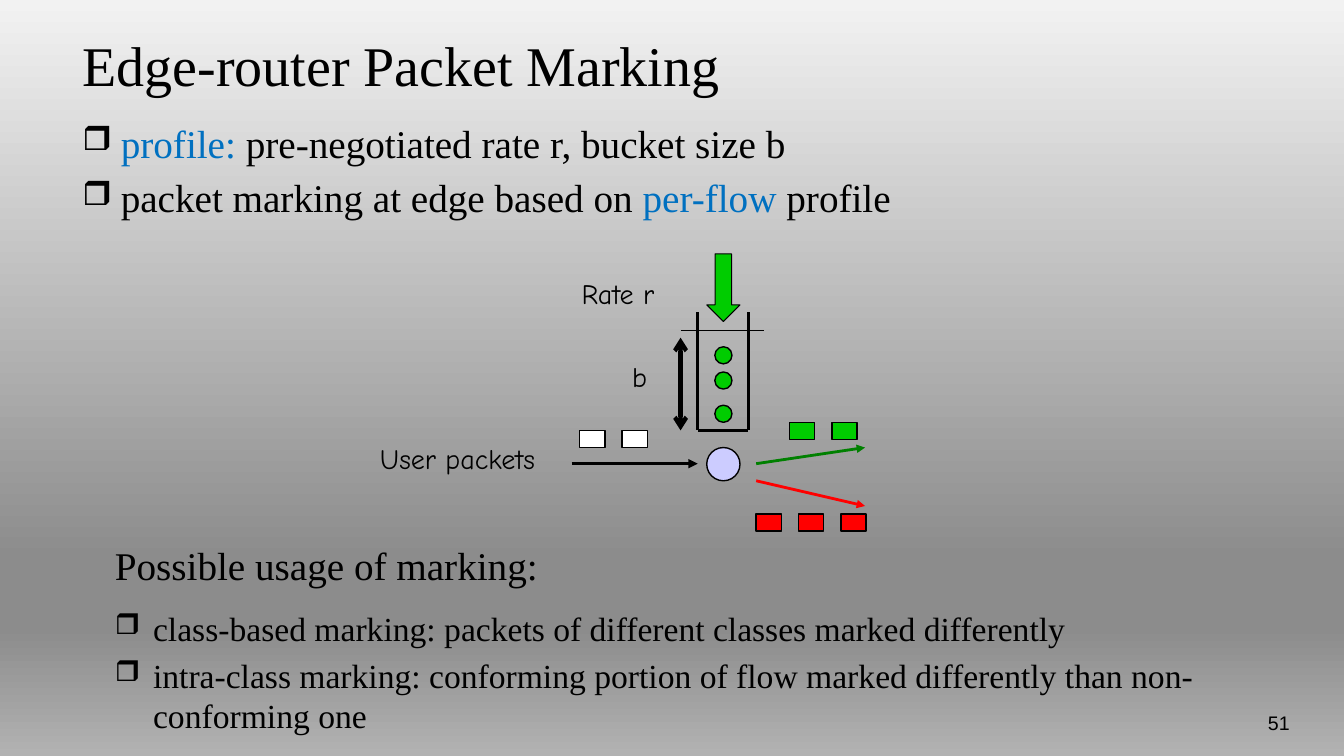
import pptx
import pptx.util
from lxml import etree
from pptx.dml.color import RGBColor
from pptx.enum.shapes import MSO_CONNECTOR, MSO_SHAPE
from pptx.enum.text import MSO_ANCHOR, PP_ALIGN
from pptx.oxml.ns import qn

# Content
COLORS = {
    "ink": "000000", "accent": "0070C0", "user": "FFFFFF", "token": "00CC00",
    "excess": "FF0000", "conforming": "008000", "router": "CCCCFF",
}
BACKGROUND = [(0, "F2F2F2"), (74, "8C8C8C"), (83, "8C8C8C"), (100, "B2B2B2")]
SERIF, HAND, SANS = "Times New Roman", "Comic Neue", "Arial"

# Single-line texts: text, (left, top, width, height), font, size
TITLE = ("Edge-router Packet Marking", (72, 26, 1173, 75), SERIF, 40)
PAGE_NUMBER = ("51", (1190, 700, 99, 50), SANS, 14)
LABELS = [
    ("Possible usage of marking:", (104, 532, 492, 57), SERIF, 28),
    ("User packets", (367, 433, 212, 43), HAND, 20),
    ("Rate r", (567, 269, 125, 43), HAND, 20),
    ("b", (617, 352, 38, 43), HAND, 20),
]

# Bulleted lists: each item is a list of (text, color) runs
PROFILE_POINTS = [
    [("profile: ", "accent"), ("pre-negotiated rate r, bucket size b", "ink")],
    [("packet marking at edge based on ", "ink"), ("per-flow", "accent"),
     (" profile", "ink")],
]
USAGE_POINTS = [
    [("class-based marking: packets of different classes marked differently", "ink")],
    [("intra-class marking: conforming portion of flow marked differently "
      "than non-conforming one", "ink")],
]

# Packet rows: left, top, count, color
PACKET_ROWS = [(575, 427, 2, "user"), (783, 419, 2, "token"), (750, 510, 3, "excess")]
PACKET_W, PACKET_H, PACKET_STEP = 25, 17, 42

# Token bucket
BUCKET_LEFT, BUCKET_RIGHT = 692, 742
BUCKET_RIM, BUCKET_JOINT, BUCKET_FLOOR = 310, 352, 427
BUCKET_CENTER = (BUCKET_LEFT + BUCKET_RIGHT) // 2
TOKEN_TOPS = [344, 369, 402]
TOKEN_SIZE, ROUTER_SIZE = 17, 33

# Lines: start, end, color, width, head, tail
LINES = [
    ((BUCKET_LEFT, BUCKET_FLOOR), (BUCKET_RIGHT, BUCKET_FLOOR), "ink", 2.25, None, None),
    ((675, 328), (758, 328), "ink", 0.75, None, None),
    ((675, 335), (675, BUCKET_FLOOR), "ink", 3, "arrow", "arrow"),
    ((567, 460), (692, 460), "ink", 2.25, None, "triangle"),
    ((750, 460), (858, 444), "conforming", 2, None, "triangle"),
    ((750, 477), (858, 502), "excess", 2, None, "triangle"),
]
for side in (BUCKET_LEFT, BUCKET_RIGHT):
    LINES.append(((side, BUCKET_JOINT), (side, BUCKET_FLOOR), "ink", 2.25, None, None))
    LINES.append(((side, BUCKET_JOINT), (side, BUCKET_RIM), "ink", 2, None, None))

PX = 9144  # 100 px to the inch


def px(*lengths):
    return [pptx.util.Emu(length * PX) for length in lengths]


def rgb(name):
    return RGBColor.from_string(COLORS[name])


def style_run(run, font, size, color="ink"):
    run.font.name = font
    run.font.size = pptx.util.Pt(size)
    run.font.color.rgb = rgb(color)


def add_frame(slide, box):
    frame = slide.shapes.add_textbox(*px(*box)).text_frame
    frame.word_wrap = True
    return frame


def add_label(slide, text, box, font, size):
    frame = add_frame(slide, box)
    frame.text = text
    style_run(frame.paragraphs[0].runs[0], font, size)
    return frame


def add_bullets(slide, points, box, size):
    frame = add_frame(slide, box)
    for index, point in enumerate(points):
        paragraph = frame.add_paragraph() if index else frame.paragraphs[0]
        if index:
            paragraph.space_before = pptx.util.Pt(size * 0.2)
        props = paragraph._p.get_or_add_pPr()
        props.set("marL", str(38 * PX))
        props.set("indent", str(-38 * PX))
        bullet_color = etree.SubElement(props, qn("a:buClr"))
        etree.SubElement(bullet_color, qn("a:srgbClr"), val=COLORS["ink"])
        etree.SubElement(props, qn("a:buSzPct"), val="85000")
        etree.SubElement(props, qn("a:buChar"), char="❒")
        for text, color in point:
            run = paragraph.add_run()
            run.text = text
            style_run(run, SERIF, size, color)


def add_part(slide, kind, box, color, line_width=1):
    part = slide.shapes.add_shape(kind, *px(*box))
    part.shadow.inherit = False
    part.fill.solid()
    part.fill.fore_color.rgb = rgb(color)
    part.line.color.rgb = rgb("ink")
    part.line.width = pptx.util.Pt(line_width)


def add_line(slide, start, end, color, width, head, tail):
    connector = slide.shapes.add_connector(MSO_CONNECTOR.STRAIGHT, *px(*start, *end))
    connector.line.color.rgb = rgb(color)
    connector.line.width = pptx.util.Pt(width)
    outline = connector.line._get_or_add_ln()
    for tag, arrow in (("a:headEnd", head), ("a:tailEnd", tail)):
        if arrow:
            etree.SubElement(outline, qn(tag), type=arrow)
    etree.SubElement(connector._element.spPr, qn("a:effectLst"))


def paint_background(slide):
    slide.background.fill.gradient()
    gradient = slide.element.find(".//" + qn("a:gradFill"))
    stops = gradient.find(qn("a:gsLst"))
    for stop in list(stops):
        stops.remove(stop)
    for position, color in BACKGROUND:
        stop = etree.SubElement(stops, qn("a:gs"), pos=str(position * 1000))
        etree.SubElement(stop, qn("a:srgbClr"), val=color)
    gradient.find(qn("a:lin")).set("ang", str(90 * 60000))


def main():
    deck = pptx.Presentation()
    deck.slide_width, deck.slide_height = px(1333, 750)
    slide = deck.slides.add_slide(deck.slide_layouts[6])
    paint_background(slide)

    # Texts
    add_label(slide, *TITLE).vertical_anchor = MSO_ANCHOR.MIDDLE
    add_label(slide, *PAGE_NUMBER).paragraphs[0].alignment = PP_ALIGN.RIGHT
    add_bullets(slide, PROFILE_POINTS, (72, 113, 1173, 123), 28)
    add_bullets(slide, USAGE_POINTS, (104, 598, 1141, 150), 24)
    for label in LABELS:
        add_label(slide, *label)

    # Packets
    for left, top, count, color in PACKET_ROWS:
        for index in range(count):
            box = (left + index * PACKET_STEP, top, PACKET_W, PACKET_H)
            add_part(slide, MSO_SHAPE.RECTANGLE, box, color)

    # Bucket, tokens, router and flows
    for line in LINES:
        add_line(slide, *line)
    for top in TOKEN_TOPS:
        box = (BUCKET_CENTER - TOKEN_SIZE // 2, top, TOKEN_SIZE, TOKEN_SIZE)
        add_part(slide, MSO_SHAPE.OVAL, box, "token")
    router_left = BUCKET_CENTER - ROUTER_SIZE // 2
    add_part(slide, MSO_SHAPE.OVAL, (router_left, 444, ROUTER_SIZE, ROUTER_SIZE), "router")
    add_part(slide, MSO_SHAPE.DOWN_ARROW, (router_left, 252, ROUTER_SIZE, 67), "token", 0.75)

    deck.save("out.pptx")


if __name__ == "__main__":
    main()
